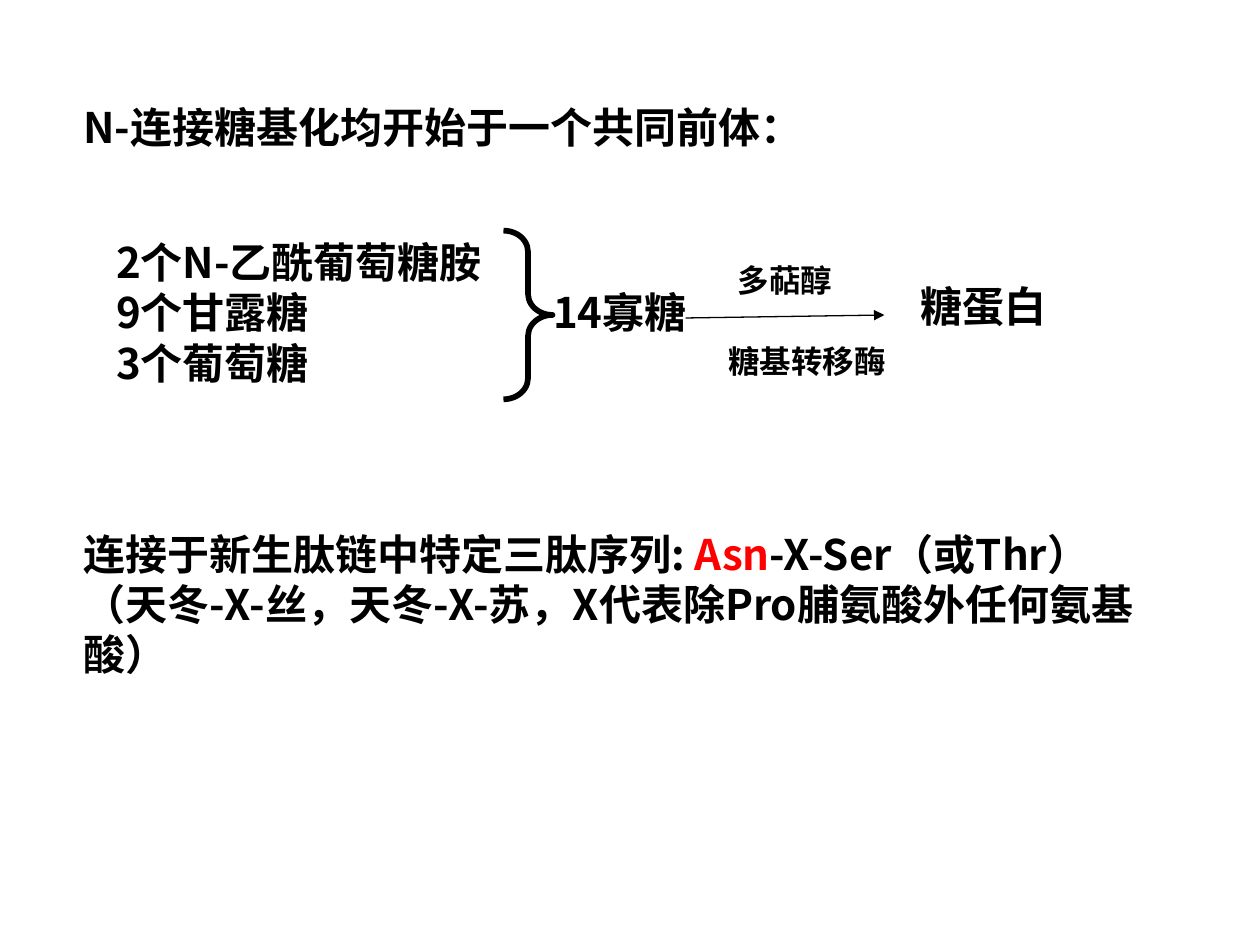
from pptx import Presentation
from pptx.dml.color import RGBColor
from pptx.enum.shapes import MSO_CONNECTOR, MSO_SHAPE
from pptx.enum.text import MSO_ANCHOR
from pptx.oxml.ns import qn
from pptx.util import Cm, Pt
from lxml import etree

BRACE = MSO_SHAPE.RIGHT_BRACE
STRAIGHT = MSO_CONNECTOR.STRAIGHT
TOP = MSO_ANCHOR.TOP
FONT = "Noto Sans CJK SC"
COLORS = {"text": "000000", "accent": "FF0000"}

prs = Presentation()
prs.slide_width, prs.slide_height = Cm(25.4), Cm(19.05)
s = prs.slides.add_slide(prs.slide_layouts[6])


def add_text(paragraphs, left, top, width, height, size=24, wrap=True):
    """Add a bold text box; each paragraph is a list of (text, color) runs."""
    tf = s.shapes.add_textbox(Cm(left), Cm(top), Cm(width), Cm(height)).text_frame
    tf.word_wrap = wrap
    tf.vertical_anchor = TOP
    for i, runs in enumerate(paragraphs):
        p = tf.paragraphs[0] if i == 0 else tf.add_paragraph()
        p.line_spacing = Pt(size * 1.2)
        for text, color in runs:
            r = p.add_run()
            r.text = text
            r.font.name = FONT
            r.font.size = Pt(size)
            r.font.bold = True
            r.font.color.rgb = RGBColor.from_string(COLORS[color])
            ea = etree.SubElement(r.font._element, qn("a:ea"))
            ea.set("typeface", FONT)


# Heading
add_text([[("N-连接糖基化均开始于一个共同前体：", "text")]],
         1.43, 1.93, 15.29, 1.3, wrap=False)

# Precursor sugars
sugars = ["2个N-乙酰葡萄糖胺", "9个甘露糖", "3个葡萄糖"]
add_text([[(sugar, "text")] for sugar in sugars], 2.09, 4.64, 12.6, 3.33)

# Brace joining the sugars
brace = s.shapes.add_shape(BRACE, Cm(10.15), Cm(4.65), Cm(0.99), Cm(3.4))
brace.shadow.inherit = False
brace.adjustments[0] = 0.43
brace.adjustments[1] = 0.5
brace.fill.background()
brace.line.color.rgb = RGBColor.from_string(COLORS["text"])
brace.line.width = Pt(3.25)

# Reaction arrow
arrow = s.shapes.add_connector(STRAIGHT, Cm(13.82), Cm(6.41), Cm(17.83), Cm(6.35))
arrow.line.color.rgb = RGBColor.from_string(COLORS["text"])
arrow.line.width = Pt(0.75)
etree.SubElement(arrow.line._get_or_add_ln(), qn("a:tailEnd")).set("type", "triangle")
etree.SubElement(arrow._element.spPr, qn("a:effectLst"))

# Reactant, product and arrow labels
for text, left, top, width, height, size in [
    ("14寡糖", 10.9, 5.66, 6.63, 1.3, 24),
    ("糖蛋白", 18.3, 5.54, 4.6, 1.3, 24),
    ("多萜醇", 14.62, 5.13, 3.2, 1.02, 18),
    ("糖基转移酶", 14.43, 6.78, 5.03, 1.02, 18),
]:
    add_text([[(text, "text")]], left, top, width, height, size=size)

# Target sequence
add_text([[("连接于新生肽链中特定三肽序列: ", "text"),
           ("Asn", "accent"),
           ("-X-Ser（或Thr） （天冬-X-丝，天冬-X-苏，X代表除Pro脯氨酸外任何氨基酸）", "text")]],
         1.43, 10.52, 22.2, 3.33)

prs.save("out.pptx")
